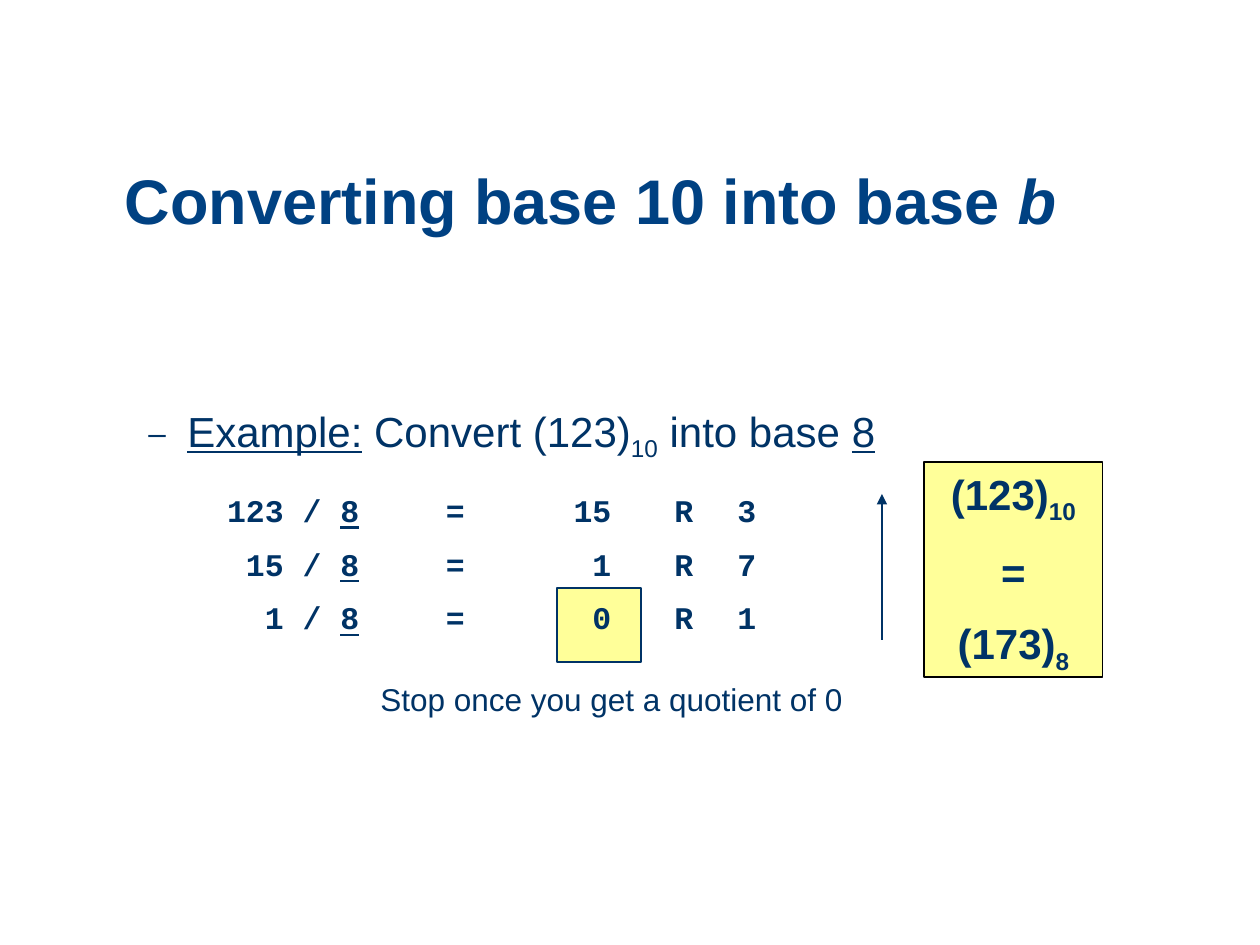
from lxml import etree
from pptx import Presentation
from pptx.dml.color import RGBColor
from pptx.enum.shapes import MSO_CONNECTOR, MSO_SHAPE
from pptx.enum.text import MSO_ANCHOR, MSO_AUTO_SIZE, PP_ALIGN
from pptx.oxml.ns import qn
from pptx.util import Emu, Pt

PX = 914400 // 126

THEME = {
    "title": "004182", "ink": "003366", "black": "000000", "highlight": "FFFF99",
    "sans": "Arial", "mono": "Courier New",
    "title_size": 36, "body_size": 24, "work_size": 18, "line": 0.75,
}

# A run is (text, style); styles: "" plain, "i" italic, "u" underlined, "sub" subscript.
TITLE = [[("Converting base 10 into base ", ""), ("b", "i")]]
EXAMPLE = [[("Example:", "u"), (" Convert (123)", ""), ("10", "sub"),
            (" into base ", ""), ("8", "u")]]
BASE = "8"
DIVISIONS = [(123, 15, 3), (15, 1, 7), (1, 0, 1)]
RESULT = [[("(123)", ""), ("10", "sub")], [("=", "")], [("(173)", ""), ("8", "sub")]]
STOP_NOTE = [[("Stop once you get a quotient of 0", "")]]
TAB_STOPS = [(189, "r"), (285, "ctr"), (441, "r")]

BOXES = {
    "zero": (557, 588, 84, 74),
    "title": (105, 136, 1092, 116),
    "example": (73, 399, 1144, 105),
    "result": (924, 462, 179, 215),
    "stop": (368, 674, 494, 50),
    "divisions": (158, 485, 725, 165),
}
ARROW = (882, 640, 882, 494)


def emu(*pixels):
    """Turn pixel lengths into EMU."""
    return [Emu(p * PX) for p in pixels]


def color(name):
    """Look up a theme colour."""
    return RGBColor.from_string(THEME[name])


def add_child(parent, tag, **attributes):
    """Append a DrawingML element and return it."""
    return etree.SubElement(parent, qn(tag), {k: str(v) for k, v in attributes.items()})


def add_panel(slide, box, kind=MSO_SHAPE.RECTANGLE, fill=None, line=None):
    """Add a shape with an optional fill and outline."""
    panel = slide.shapes.add_shape(kind, *emu(*BOXES[box]))
    panel.shadow.inherit = False
    if fill:
        panel.fill.solid()
        panel.fill.fore_color.rgb = color(fill)
    else:
        panel.fill.background()
    if line:
        panel.line.color.rgb = color(line)
        panel.line.width = Pt(THEME["line"])
    else:
        panel.line.fill.background()
    return panel


def add_text_box(slide, box):
    """Add an empty text box."""
    return slide.shapes.add_textbox(*emu(*BOXES[box]))


def write(shape, paragraphs, size, ink="ink", font="sans", bold=False, before=0,
          align=PP_ALIGN.LEFT, anchor=MSO_ANCHOR.TOP, grow=False):
    """Fill a shape with styled paragraphs; before is a percentage of the line."""
    frame = shape.text_frame
    frame.word_wrap = True
    frame.vertical_anchor = anchor
    frame.auto_size = MSO_AUTO_SIZE.SHAPE_TO_FIT_TEXT if grow else MSO_AUTO_SIZE.NONE
    for index, runs in enumerate(paragraphs):
        paragraph = frame.add_paragraph() if index else frame.paragraphs[0]
        paragraph.alignment = align
        if before:
            spacing = add_child(paragraph._p.get_or_add_pPr(), "a:spcBef")
            add_child(spacing, "a:spcPct", val=before * 1000)
        for text, style in runs:
            run = paragraph.add_run()
            run.text = text
            run.font.name = THEME[font]
            run.font.size = Pt(THEME[size])
            run.font.color.rgb = color(ink)
            run.font.bold = bold
            run.font.italic = style == "i"
            run.font.underline = style == "u"
            if style == "sub":
                run.font._element.set("baseline", "-25000")
    return frame.paragraphs


def add_dash_bullet(paragraph):
    """Give a paragraph a hanging dash."""
    properties = paragraph._p.get_or_add_pPr()
    left, hang = emu(102, 39)
    properties.set("marL", str(left))
    properties.set("indent", str(-hang))
    add_child(add_child(properties, "a:buClr"), "a:srgbClr", val=THEME["ink"])
    add_child(properties, "a:buSzPct", val=75000)
    add_child(properties, "a:buFont", typeface=THEME["sans"])
    add_child(properties, "a:buChar", char="–")


def add_tab_stops(paragraph):
    """Align the columns of a division."""
    tabs = add_child(paragraph._p.get_or_add_pPr(), "a:tabLst")
    for position, align in TAB_STOPS:
        add_child(tabs, "a:tab", pos=position * PX, algn=align)


def add_arrow(slide):
    """Draw the arrow that gives the reading order of the remainders."""
    arrow = slide.shapes.add_connector(MSO_CONNECTOR.STRAIGHT, *emu(*ARROW))
    arrow.line.color.rgb = color("ink")
    arrow.line.width = Pt(THEME["line"])
    add_child(arrow.line._get_or_add_ln(), "a:tailEnd", type="triangle")
    add_child(arrow._element.spPr, "a:effectLst")


def build():
    """Build and save the slide."""
    deck = Presentation()
    deck.slide_width, deck.slide_height = emu(1260, 945)
    slide = deck.slides.add_slide(deck.slide_layouts[6])

    add_panel(slide, "zero", fill="highlight", line="ink")

    title = add_panel(slide, "title", MSO_SHAPE.ROUNDED_RECTANGLE)
    title.adjustments[0] = 0.22
    # The text area follows the rounded corners.
    heading = write(title, TITLE, "title_size", "title", bold=True,
                    anchor=MSO_ANCHOR.BOTTOM)
    heading[0].line_spacing = 0.9

    example = write(add_text_box(slide, "example"), EXAMPLE, "body_size", before=20)
    add_dash_bullet(example[0])

    add_arrow(slide)
    write(add_panel(slide, "result", fill="highlight", line="black"), RESULT,
          "body_size", bold=True, before=50, align=PP_ALIGN.CENTER, grow=True)
    write(add_text_box(slide, "stop"), STOP_NOTE, "work_size", before=50, grow=True)

    rows = [[(f"\t{number} / ", ""), (BASE, "u"), (f"\t=\t{quotient}\tR\t{rest}", "")]
            for number, quotient, rest in DIVISIONS]
    for paragraph in write(add_text_box(slide, "divisions"), rows, "work_size",
                           font="mono", bold=True, before=50, grow=True):
        add_tab_stops(paragraph)

    deck.save("out.pptx")


build()
